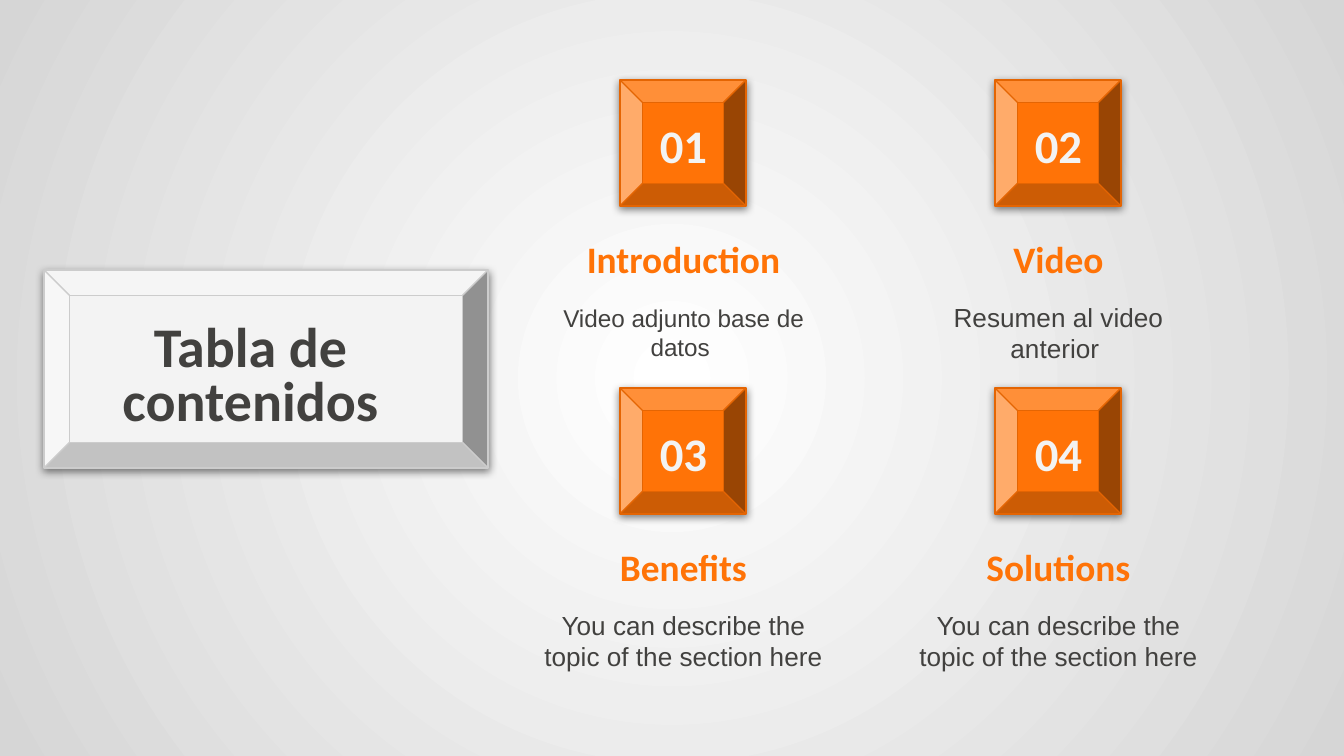
import pptx
import pptx.util
import pptx.oxml
import pptx.dml.color
import pptx.enum.shapes
import pptx.enum.text

PX = 914400 / 134.4
COLORS = {
    "orange": "FF7307",
    "rust": "E46503",
    "pale": "F3F3F3",
    "edge": "CCCCCC",
    "ink": "42413F",
    "white": "FFFFFF",
    "gray": "D6D6D6",
}
NS = 'xmlns:a="http://schemas.openxmlformats.org/drawingml/2006/main"'
GLOW = (
    f'<a:path {NS} path="circle">'
    '<a:fillToRect l="50000" t="50000" r="50000" b="50000"/></a:path>'
)
SHADOW = (
    f'<a:effectLst {NS}><a:outerShdw blurRad="57150" dist="19050" dir="5400000" '
    'algn="bl" rotWithShape="0"><a:srgbClr val="000000"><a:alpha val="50000"/>'
    "</a:srgbClr></a:outerShdw></a:effectLst>"
)
CARDS = [
    ("01", "Introduction", "Video adjunto base de datos ", 13),
    ("02", "Video", "Resumen al video anterior ", 14),
    ("03", "Benefits", "You can describe the topic of the section here", 14),
    ("04", "Solutions", "You can describe the topic of the section here", 14),
]


def emu(box):
    return [pptx.util.Emu(round(n * PX)) for n in box]


def rgb(name):
    return pptx.dml.color.RGBColor.from_string(COLORS[name])


def paint(slide):
    fill = slide.background.fill
    fill.gradient()
    for stop, name in zip(fill.gradient_stops, ("white", "gray")):
        stop.color.rgb = rgb(name)
    grad = slide.background.fill._fill._gradFill
    for lin in grad.findall(pptx.oxml.ns.qn("a:lin")):
        grad.replace(lin, pptx.oxml.parse_xml(GLOW))


def bevel(slide, box, depth, fill, line):
    kind = pptx.enum.shapes.MSO_SHAPE.BEVEL
    shape = slide.shapes.add_shape(kind, *emu(box))
    shape.adjustments[0] = depth
    shape.fill.solid()
    shape.fill.fore_color.rgb = rgb(fill)
    shape.line.color.rgb = rgb(line)
    shape.line.width = pptx.util.Pt(0.75)
    shape.shadow.inherit = False
    props = shape.element.spPr
    old = props.find(pptx.oxml.ns.qn("a:effectLst"))
    props.replace(old, pptx.oxml.parse_xml(SHADOW))


def write(shape, box, text, font, size, color, bold, space=1.0):
    shape.left, shape.top, shape.width, shape.height = emu(box)
    tree = shape.element.getparent()
    tree.append(shape.element)
    frame = shape.text_frame
    frame.text = text
    frame.word_wrap = True
    frame.auto_size = pptx.enum.text.MSO_AUTO_SIZE.NONE
    frame.vertical_anchor = pptx.enum.text.MSO_ANCHOR.MIDDLE
    inset = pptx.util.Inches(0.1)
    frame.margin_left = frame.margin_right = inset
    frame.margin_top = frame.margin_bottom = inset
    para = frame.paragraphs[0]
    para.alignment = pptx.enum.text.PP_ALIGN.CENTER
    para.line_spacing = space
    para.space_before = pptx.util.Pt(0)
    para.font.name = font
    para.font.size = pptx.util.Pt(size)
    para.font.bold = bold
    para.font.color.rgb = rgb(color)
    return para


def label(slide, box, text, size, color):
    shape = slide.shapes.add_textbox(*emu(box))
    write(shape, box, text, "Calibri", size, color, True)


def plaque(slide, x, y):
    bevel(slide, (x, y, 444, 198), 0.128, "pale", "edge")
    write(slide.shapes.title, (x + 4, y, 405, 216), "Tabla de contenidos",
          "Calibri", 30, "ink", True, 0.8)


def card(slide, x, y, body, code, name, note, size):
    bevel(slide, (x + 97, y, 126, 126), 0.179, "orange", "rust")
    label(slide, (x + 67, y + 29, 187, 71), code, 25, "pale")
    label(slide, (x, y + 150, 321, 58), name, 20, "orange")
    para = write(body, (x, y + 217, 321, 71), note, "Arial", size, "ink", False)
    props = para._p.get_or_add_pPr()
    props.set("marL", "0")
    props.set("indent", "0")
    props.append(pptx.oxml.parse_xml(f"<a:buNone {NS}/>"))


def main():
    deck = pptx.Presentation()
    deck.slide_width, deck.slide_height = emu((1344, 756))
    slide = deck.slides.add_slide(deck.slide_layouts.get_by_name("Comparison"))
    paint(slide)
    plaque(slide, 44, 270)
    bodies = [p for p in slide.placeholders if p.placeholder_format.idx in range(1, 5)]
    for i, (body, entry) in enumerate(zip(bodies, CARDS)):
        row, col = divmod(i, 2)
        card(slide, 523 + col * 375, 80 + row * 308, body, *entry)
    deck.save("out.pptx")


if __name__ == "__main__":
    main()
